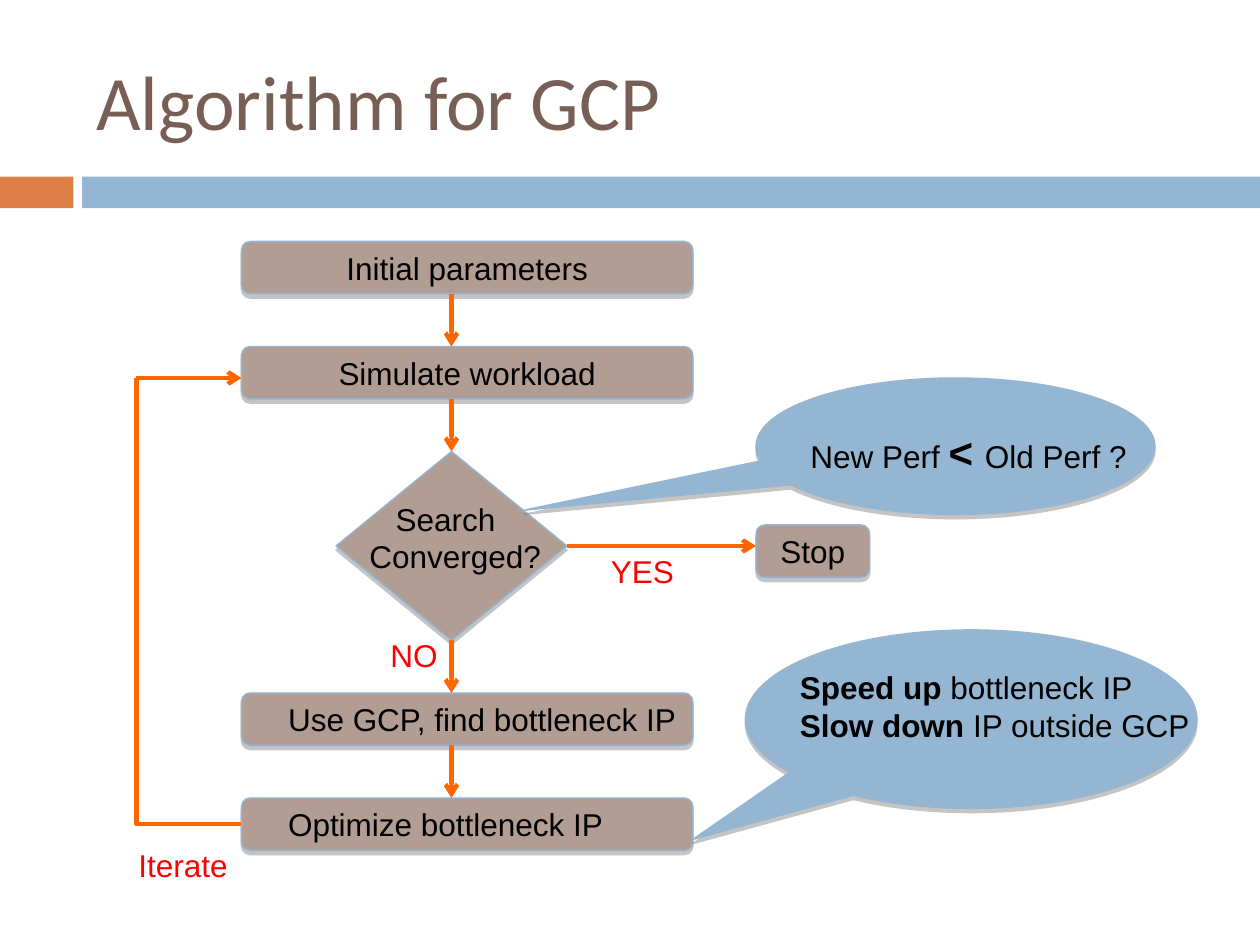
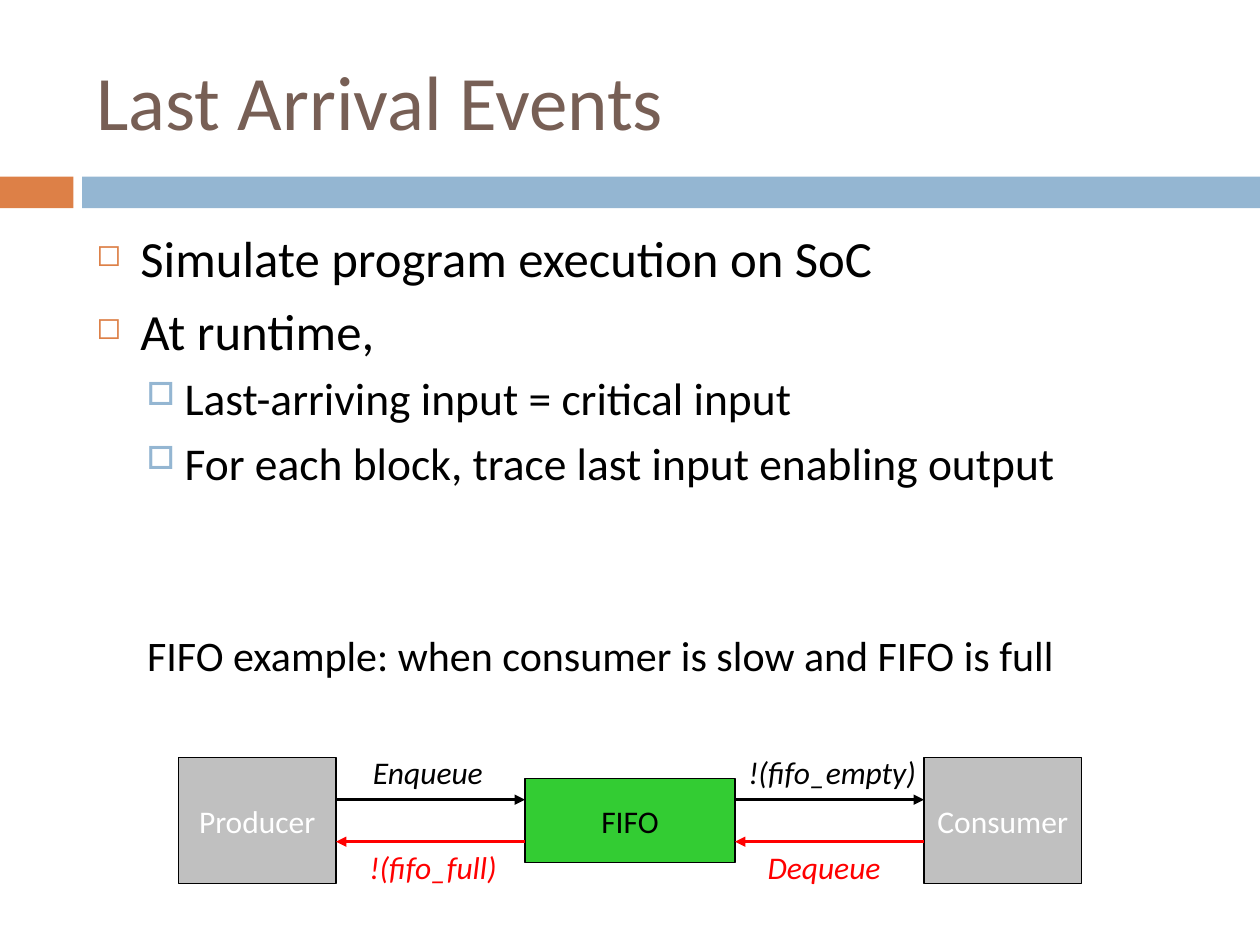
"""Build two slides: the GCP flowchart and the last-arrival FIFO example."""
from dataclasses import dataclass

from lxml.etree import SubElement
from pptx import Presentation
from pptx.dml.color import RGBColor
from pptx.enum.shapes import MSO_CONNECTOR, MSO_SHAPE
from pptx.enum.text import MSO_ANCHOR, PP_ALIGN
from pptx.oxml.ns import qn
from pptx.util import Pt


@dataclass(frozen=True)
class Theme:
    """Colours, fonts and type sizes of the deck."""
    title: str = "775F55"
    orange: str = "DD8047"
    blue: str = "94B6D2"
    taupe: str = "B29D94"
    flow: str = "FF6600"
    shadow: str = "808080"
    gray: str = "C0C0C0"
    green: str = "33CC33"
    red: str = "FF0000"
    black: str = "000000"
    white: str = "FFFFFF"
    heading_font: str = "Calibri"
    diagram_font: str = "Arial"
    title_size: int = 44
    example_size: int = 24
    label_size: int = 18
    operator_size: int = 24


THEME = Theme()

BANDS = [((0, 101, 42, 18), THEME.orange), ((47, 101, 673, 18), THEME.blue)]
TITLE_BOX = (48, 18, 642, 78)

FLOW_TITLE = "Algorithm for GCP"
STEP_LEFT, STEP_WIDTH, STEP_HEIGHT = 138, 258, 30
STEP_INDENT = 25.2
STEPS = [
    ("Initial parameters", 138, True),
    ("Simulate workload", 198, True),
    ("Use GCP, find bottleneck IP", 396, False),
    ("Optimize bottleneck IP", 456, False),
]
DECISION_BOX = (192, 258, 132, 108)
DECISION_TEXT_BOX = (204, 282, 174, 50)
DECISION_LINES = [("Search", 15), ("Converged?", 0)]
STOP_BOX = (432, 300, 65, STEP_HEIGHT)
LOOP_LEFT, LOOP_TOP = 78, 216
CALLOUTS = [
    {
        "box": (426, 360, 258, 102),
        "tip": (-0.617, 0.674),
        "text_box": (450, 378, 240, 60),
        "lines": [
            [("Speed up ", THEME.label_size, True), ("bottleneck IP", THEME.label_size, False)],
            [("Slow down ", THEME.label_size, True), ("IP outside GCP", THEME.label_size, False)],
        ],
    },
    {
        "box": (432, 216, 228, 78),
        "tip": (-1.082, 0.469),
        "text_box": (456, 240, 210, 36),
        "lines": [[
            ("New Perf ", THEME.label_size, False),
            ("< ", THEME.operator_size, True),
            ("Old Perf ?", THEME.label_size, False),
        ]],
    },
]
BRANCH_LABELS = [
    ("NO", (216, 360, 54, 29)),
    ("YES", (342, 312, 54, 29)),
    ("Iterate", (72, 480, 72, 29)),
]

EVENTS_TITLE = "Last Arrival Events"
BODY_BOX = (48, 126, 642, 220)
BULLET_LEVELS = [
    {"margin": 25.2, "hang": 25.2, "before": 7, "size": 29,
     "symbol": "◻", "color": THEME.orange, "percent": 60},
    {"margin": 50.4, "hang": 21.6, "before": 5.5, "size": 26,
     "symbol": "□", "color": THEME.blue, "percent": 70},
]
BULLETS = [
    (0, "Simulate program execution on SoC"),
    (0, "At runtime,"),
    (1, "Last-arriving input = critical input"),
    (1, "For each block, trace last input enabling output"),
]
EXAMPLE = "FIFO example: when consumer is slow and FIFO is full"
EXAMPLE_BOX = (77, 356.4, 600, 37)
BLOCKS = [
    ("Producer", (102, 433, 90, 72), THEME.gray, THEME.white),
    ("FIFO", (300, 445, 120, 48), THEME.green, THEME.black),
    ("Consumer", (528, 433, 90, 72), THEME.gray, THEME.white),
]
FORWARD_Y, BACKWARD_Y = 457, 481
SIGNAL_WIDTH, SIGNAL_HEIGHT = 120, 29
SIGNALS = [
    ("Enqueue", (206, 427), THEME.black),
    ("!(fifo_full)", (204, 481), THEME.red),
    ("!(fifo_empty)", (420.5, 427), THEME.black),
    ("Dequeue", (431.5, 481), THEME.red),
]


def rgb(color):
    return RGBColor.from_string(color)


def add_run(paragraph, text, size, font, color=THEME.black, bold=False, italic=False):
    run = paragraph.add_run()
    run.text = text
    run.font.name = font
    run.font.size = Pt(size)
    run.font.bold = bold
    run.font.italic = italic
    run.font.color.rgb = rgb(color)


def add_paragraph(frame, index):
    return frame.add_paragraph() if index else frame.paragraphs[0]


def add_text_frame(slide, box, anchor=MSO_ANCHOR.TOP):
    frame = slide.shapes.add_textbox(*map(Pt, box)).text_frame
    frame.word_wrap = True
    frame.vertical_anchor = anchor
    return frame


def add_label(slide, box, text, size, font, color=THEME.black, italic=False):
    frame = add_text_frame(slide, box)
    add_run(frame.paragraphs[0], text, size, font, color, italic=italic)


def add_block(slide, kind, box, fill, line=None, width=0.79):
    shape = slide.shapes.add_shape(kind, *map(Pt, box))
    shape.shadow.inherit = False
    shape.fill.solid()
    shape.fill.fore_color.rgb = rgb(fill)
    if line:
        shape.line.color.rgb = rgb(line)
        shape.line.width = Pt(width)
    else:
        shape.line.fill.background()
    return shape


def add_shadowed_block(slide, kind, box, fill):
    shape = add_block(slide, kind, box, fill, THEME.blue)
    effects = shape._element.spPr.find(qn("a:effectLst"))
    shadow = SubElement(effects, qn("a:outerShdw"), blurRad="0", dist=str(Pt(2.4)),
                        dir="5400000", algn="ctr", rotWithShape="0")
    color = SubElement(shadow, qn("a:srgbClr"), val=THEME.shadow)
    SubElement(color, qn("a:alpha"), val="45000")
    return shape


def fill_block(shape, text, font, color=THEME.black, centred=True):
    frame = shape.text_frame
    frame.word_wrap = centred is False
    frame.vertical_anchor = MSO_ANCHOR.MIDDLE
    paragraph = frame.paragraphs[0]
    paragraph.alignment = PP_ALIGN.CENTER if centred else PP_ALIGN.LEFT
    if not centred:
        frame.margin_left, frame.margin_right = Pt(STEP_INDENT), Pt(0)
    add_run(paragraph, text, THEME.label_size, font, color)


def add_line(slide, start, end, color, width, head=None, kind=MSO_CONNECTOR.STRAIGHT):
    connector = slide.shapes.add_connector(kind, *map(Pt, (*start, *end)))
    connector.line.color.rgb = rgb(color)
    connector.line.width = Pt(width)
    if head:
        SubElement(connector.line._get_or_add_ln(), qn("a:tailEnd"), type=head)
    SubElement(connector._element.spPr, qn("a:effectLst"))
    return connector


def add_flow_arrow(slide, start, end):
    return add_line(slide, start, end, THEME.flow, 2.5, "arrow")


def add_titled_slide(presentation, title):
    slide = presentation.slides.add_slide(presentation.slide_layouts[6])
    for box, color in BANDS:
        add_block(slide, MSO_SHAPE.RECTANGLE, box, color)
    frame = add_text_frame(slide, TITLE_BOX, MSO_ANCHOR.MIDDLE)
    add_run(frame.paragraphs[0], title, THEME.title_size, THEME.heading_font, THEME.title)
    return slide


def add_callout(slide, callout):
    shape = add_shadowed_block(slide, MSO_SHAPE.OVAL_CALLOUT, callout["box"], THEME.blue)
    shape.adjustments[0], shape.adjustments[1] = callout["tip"]
    frame = add_text_frame(slide, callout["text_box"])
    for index, runs in enumerate(callout["lines"]):
        paragraph = add_paragraph(frame, index)
        for text, size, bold in runs:
            add_run(paragraph, text, size, THEME.diagram_font, bold=bold)


def add_loop(slide, bottom):
    loop = add_line(slide, (LOOP_LEFT, LOOP_TOP), (STEP_LEFT, bottom), THEME.flow, 2.5,
                    kind=MSO_CONNECTOR.ELBOW)
    properties = loop._element.spPr
    properties.find(qn("a:xfrm")).set("rot", "10800000")
    properties.find(qn("a:prstGeom")).set("prst", "bentConnector2")
    add_flow_arrow(slide, (LOOP_LEFT, LOOP_TOP), (STEP_LEFT, LOOP_TOP))


def build_flowchart(presentation):
    slide = add_titled_slide(presentation, FLOW_TITLE)
    for text, top, centred in STEPS:
        step = add_shadowed_block(slide, MSO_SHAPE.ROUNDED_RECTANGLE,
                                  (STEP_LEFT, top, STEP_WIDTH, STEP_HEIGHT), THEME.taupe)
        fill_block(step, text, THEME.diagram_font, centred=centred)
    decision = add_shadowed_block(slide, MSO_SHAPE.DIAMOND, DECISION_BOX, THEME.taupe)
    frame = add_text_frame(slide, DECISION_TEXT_BOX)
    for index, (text, indent) in enumerate(DECISION_LINES):
        paragraph = add_paragraph(frame, index)
        paragraph._p.get_or_add_pPr().set("indent", str(Pt(indent)))
        add_run(paragraph, text, THEME.label_size, THEME.diagram_font)
    stop = add_shadowed_block(slide, MSO_SHAPE.ROUNDED_RECTANGLE, STOP_BOX, THEME.taupe)
    fill_block(stop, "Stop", THEME.diagram_font)
    for callout in CALLOUTS:
        add_callout(slide, callout)

    left, top, width, height = DECISION_BOX
    centre, middle = left + width / 2, top + height / 2
    initial, simulate, find, optimize = [step_top for _, step_top, _ in STEPS]
    add_flow_arrow(slide, (centre, initial + STEP_HEIGHT), (centre, simulate))
    add_flow_arrow(slide, (centre, simulate + STEP_HEIGHT), (centre, top)).end_connect(decision, 0)
    add_flow_arrow(slide, (centre, top + height), (centre, find)).begin_connect(decision, 2)
    add_flow_arrow(slide, (centre, find + STEP_HEIGHT), (centre, optimize))
    add_flow_arrow(slide, (left + width, middle), (STOP_BOX[0], middle)).begin_connect(decision, 3)
    add_loop(slide, optimize + STEP_HEIGHT / 2)
    for text, box in BRANCH_LABELS:
        add_label(slide, box, text, THEME.label_size, THEME.diagram_font, THEME.red)


def add_bullets(slide):
    frame = add_text_frame(slide, BODY_BOX)
    for index, (depth, text) in enumerate(BULLETS):
        level = BULLET_LEVELS[depth]
        paragraph = add_paragraph(frame, index)
        paragraph.level = depth
        properties = paragraph._p.get_or_add_pPr()
        properties.set("marL", str(Pt(level["margin"])))
        properties.set("indent", str(-Pt(level["hang"])))
        bullet_color = SubElement(properties, qn("a:buClr"))
        SubElement(bullet_color, qn("a:srgbClr"), val=level["color"])
        SubElement(properties, qn("a:buSzPct"), val=str(level["percent"] * 1000))
        SubElement(properties, qn("a:buChar"), char=level["symbol"])
        if index:
            paragraph.space_before = Pt(level["before"])
        add_run(paragraph, text, level["size"], THEME.heading_font)


def build_events(presentation):
    slide = add_titled_slide(presentation, EVENTS_TITLE)
    add_bullets(slide)
    add_label(slide, EXAMPLE_BOX, EXAMPLE, THEME.example_size, THEME.heading_font)
    for text, box, fill, color in BLOCKS:
        block = add_block(slide, MSO_SHAPE.RECTANGLE, box, fill, THEME.black, 0.75)
        fill_block(block, text, THEME.heading_font, color)
    boxes = [box for _, box, _, _ in BLOCKS]
    for source, target in zip(boxes, boxes[1:]):
        start, end = source[0] + source[2], target[0]
        add_line(slide, (start, FORWARD_Y), (end, FORWARD_Y), THEME.black, 1.5, "triangle")
        add_line(slide, (end, BACKWARD_Y), (start, BACKWARD_Y), THEME.red, 1.5, "triangle")
    for text, corner, color in SIGNALS:
        add_label(slide, (*corner, SIGNAL_WIDTH, SIGNAL_HEIGHT), text, THEME.label_size,
                  THEME.heading_font, color, italic=True)


def main():
    presentation = Presentation()
    presentation.slide_width, presentation.slide_height = Pt(720), Pt(540)
    build_flowchart(presentation)
    build_events(presentation)
    presentation.save("out.pptx")


if __name__ == "__main__":
    main()
